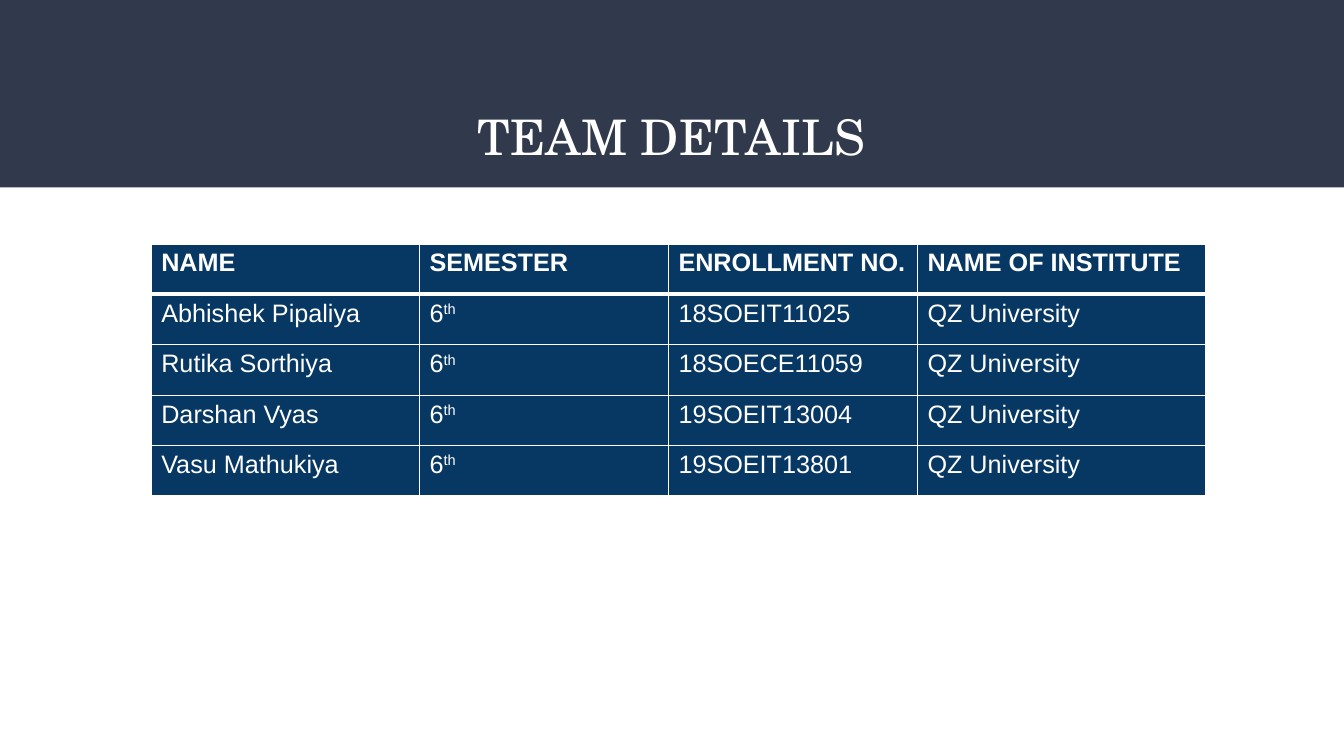
from dataclasses import dataclass

from lxml.etree import SubElement
from pptx import Presentation
from pptx.dml.color import RGBColor
from pptx.enum.shapes import MSO_SHAPE
from pptx.enum.text import MSO_ANCHOR, PP_ALIGN
from pptx.oxml.ns import qn
from pptx.util import Inches, Pt

TITLE = "TEAM DETAILS"
HEADERS = ["NAME", "SEMESTER", "ENROLLMENT NO.", "NAME OF INSTITUTE"]
SEMESTER = ("6", "th")
INSTITUTE = "QZ University"
MEMBERS = [
    ("Abhishek Pipaliya", "18SOEIT11025"),
    ("Rutika Sorthiya", "18SOECE11059"),
    ("Darshan Vyas", "19SOEIT13004"),
    ("Vasu Mathukiya", "19SOEIT13801"),
]
COL_WIDTHS = [2.66, 2.47, 2.47, 2.86]
ROW_HEIGHT = 0.5


@dataclass(frozen=True)
class Theme:
    band: RGBColor = RGBColor.from_string("31394D")
    cell: RGBColor = RGBColor.from_string("073763")
    text: RGBColor = RGBColor.from_string("FFFFFF")
    border: str = "FFFFFF"
    title_font: str = "TeX Gyre Schola"
    body_font: str = "Arial"
    title_size: int = 35
    body_size: int = 18
    thin: int = 1
    thick: int = 3


THEME = Theme()


def style_run(r, font, size, bold=False):
    r.font.name = font
    r.font.size = Pt(size)
    r.font.bold = bold
    r.font.color.rgb = THEME.text


def add_title(s, slide_width):
    band = s.shapes.add_shape(MSO_SHAPE.RECTANGLE, 0, 0, slide_width, Inches(1.86))
    band.shadow.inherit = False
    band.fill.solid()
    band.fill.fore_color.rgb = THEME.band
    band.line.fill.background()

    title = s.shapes.title
    title.element.addprevious(band.element)
    title.left, title.top = Inches(0.45), Inches(0.73)
    title.width, title.height = Inches(12.42), Inches(0.91)
    tf = title.text_frame
    tf.text = TITLE
    tf.word_wrap = True
    tf.vertical_anchor = MSO_ANCHOR.BOTTOM
    tf.margin_left = tf.margin_right = tf.margin_top = tf.margin_bottom = 0
    p = tf.paragraphs[0]
    p.alignment = PP_ALIGN.CENTER
    style_run(p.runs[0], THEME.title_font, THEME.title_size)


def set_borders(cell, top, bottom):
    tc_pr = cell._tc.get_or_add_tcPr()
    widths = {"lnL": THEME.thin, "lnR": THEME.thin, "lnT": top, "lnB": bottom}
    for side, width in widths.items():
        ln = SubElement(tc_pr, qn(f"a:{side}"), w=str(Pt(width)))
        fill = SubElement(ln, qn("a:solidFill"))
        SubElement(fill, qn("a:srgbClr"), val=THEME.border)


def fill_cell(cell, parts, row):
    set_borders(
        cell,
        THEME.thick if row == 1 else THEME.thin,
        THEME.thick if row == 0 else THEME.thin,
    )
    cell.fill.solid()
    cell.fill.fore_color.rgb = THEME.cell
    p = cell.text_frame.paragraphs[0]
    for i, part in enumerate(parts):
        r = p.add_run()
        r.text = part
        style_run(r, THEME.body_font, THEME.body_size, bold=row == 0)
        if i:
            r.font._element.set("baseline", "30000")


def add_team_table(s):
    rows = [[(h,) for h in HEADERS]]
    rows += [[(name,), SEMESTER, (number,), (INSTITUTE,)] for name, number in MEMBERS]
    table = s.shapes.add_table(
        len(rows), len(HEADERS), Inches(1.5), Inches(2.42),
        Inches(sum(COL_WIDTHS)), Inches(ROW_HEIGHT * len(rows)),
    ).table
    for col, width in zip(table.columns, COL_WIDTHS):
        col.width = Inches(width)
    for i, row in enumerate(rows):
        for j, parts in enumerate(row):
            fill_cell(table.cell(i, j), parts, i)


def main():
    prs = Presentation()
    prs.slide_width, prs.slide_height = Inches(13.33), Inches(7.5)
    s = prs.slides.add_slide(prs.slide_layouts[5])
    add_title(s, prs.slide_width)
    add_team_table(s)
    prs.save("out.pptx")


if __name__ == "__main__":
    main()
